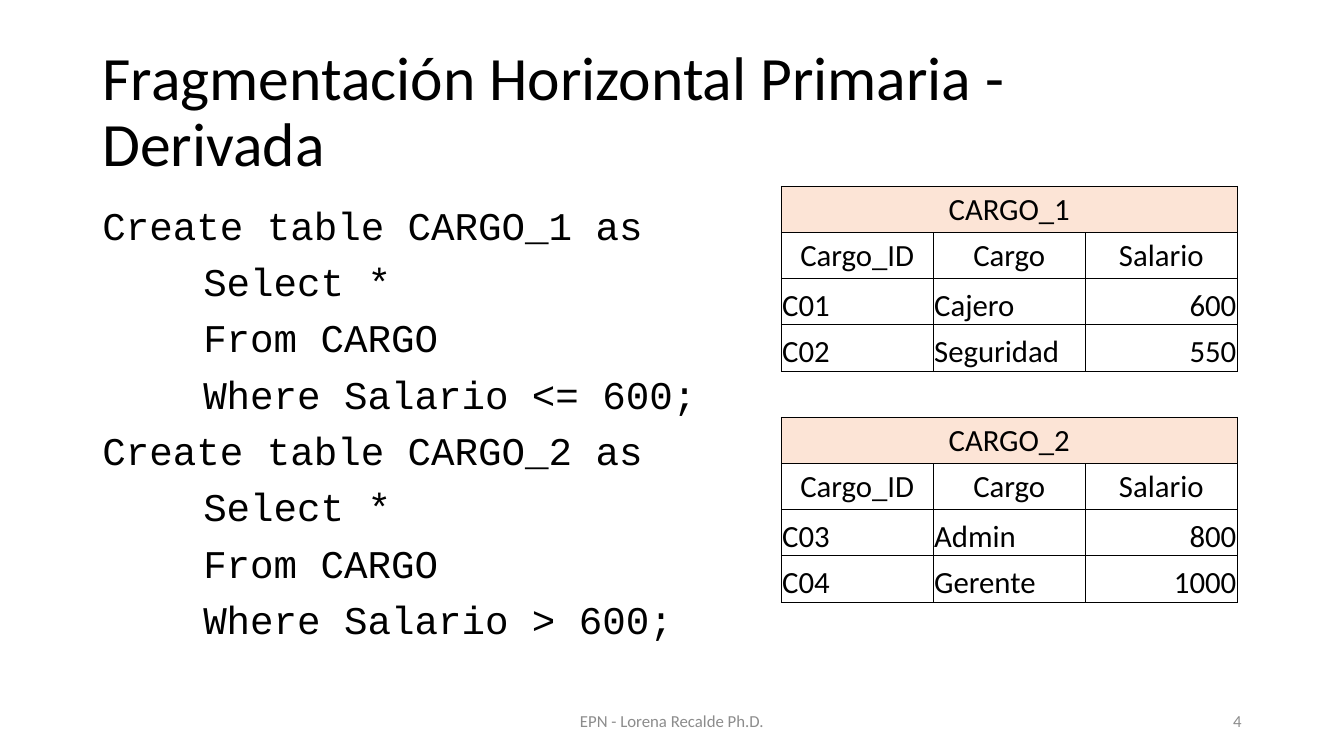
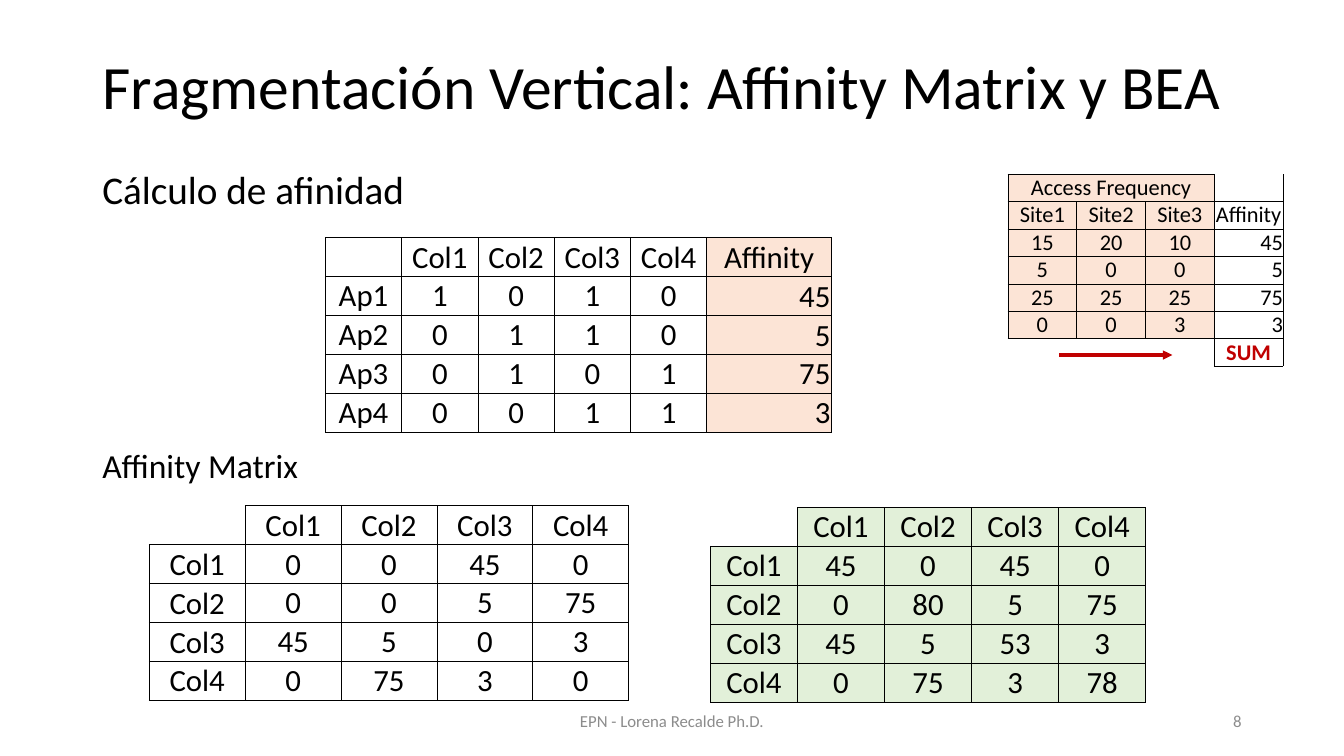
from dataclasses import dataclass
from typing import Any, Callable, Optional

from lxml import etree
from pptx import Presentation
from pptx.dml.color import RGBColor
from pptx.enum.shapes import MSO_CONNECTOR
from pptx.enum.text import MSO_ANCHOR, MSO_AUTO_SIZE, PP_ALIGN
from pptx.oxml.ns import qn
from pptx.util import Pt

LEFT, CENTER, RIGHT = PP_ALIGN.LEFT, PP_ALIGN.CENTER, PP_ALIGN.RIGHT
MIDDLE, BOTTOM, TOP = MSO_ANCHOR.MIDDLE, MSO_ANCHOR.BOTTOM, MSO_ANCHOR.TOP
NO_AUTOFIT = MSO_AUTO_SIZE.NONE
STRAIGHT = MSO_CONNECTOR.STRAIGHT
NO_TABLE_STYLE = "{2D5ABB26-0587-4C30-8999-92F81FD0307C}"
MERGED = "<merged>"
ALIGNMENTS = {"l": (LEFT, BOTTOM), "c": (CENTER, MIDDLE), "r": (RIGHT, BOTTOM), "b": (CENTER, BOTTOM)}
EDGES = {"lnL": (0, -1), "lnR": (0, 1), "lnT": (-1, 0), "lnB": (1, 0)}


@dataclass(frozen=True)
class Theme:
    font: str = "Calibri"
    code_font: str = "Courier New"
    ink: str = "000000"
    muted: str = "8C8C8C"
    accent: str = "C00000"
    peach: str = "FCE4D6"
    green: str = "E2F0D9"
    title: float = 44
    body: float = 28
    subtitle: float = 24
    cell: float = 22
    small_cell: float = 16
    footer: float = 12
    line_spacing: float = 0.9
    border: float = 0.5
    arrow: float = 2.25


THEME = Theme()


@dataclass(frozen=True)
class Area:
    left: float
    top: float
    width: float
    height: float


@dataclass(frozen=True)
class Label:
    text: str
    area: Area
    size: float
    color: str = THEME.ink
    align: Any = LEFT
    spacing: float = 1.0


@dataclass(frozen=True)
class Grid:
    left: float
    top: float
    widths: list[float]
    row_height: float
    rows: list[list[Optional[str]]]
    columns: str
    headers: tuple[int, ...] = (0,)
    tint: str = THEME.peach
    tinted: Callable[[int, int], bool] = lambda row, column: False
    size: float = THEME.cell
    inset: float = 0.72
    accent_row: Optional[int] = None


def assign(target: Any, values: dict[str, Any]) -> None:
    for name, value in values.items():
        setattr(target, name, value)


def style_font(font: Any, size: float, color: str = THEME.ink, name: str = THEME.font, bold: bool = False) -> None:
    assign(font, {"size": Pt(size), "name": name, "bold": bold})
    font.color.rgb = RGBColor.from_string(color)


def place(box: Any, area: Area, anchor: Any) -> None:
    assign(box, {name: Pt(getattr(area, name)) for name in ("left", "top", "width", "height")})
    assign(box.text_frame, {"word_wrap": True, "auto_size": NO_AUTOFIT, "vertical_anchor": anchor})


def write(para: Any, text: str, align: Any, spacing: float, **font: Any) -> None:
    assign(para, {"alignment": align, "line_spacing": spacing})
    span = para.add_run()
    span.text = text
    style_font(span.font, **font)


def draw_label(page: Any, label: Label) -> None:
    box = page.shapes.add_textbox(0, 0, 0, 0)
    place(box, label.area, MIDDLE)
    write(box.text_frame.paragraphs[0], label.text, label.align, label.spacing, size=label.size, color=label.color)


def add_page(deck: Any, layout: int, title: str, title_height: float, number: str) -> Any:
    page = deck.slides.add_slide(deck.slide_layouts[layout])
    box = page.shapes.title
    place(box, Area(66, 28.8, 828, title_height), MIDDLE)
    write(box.text_frame.paragraphs[0], title, LEFT, THEME.line_spacing, size=THEME.title)
    for text, left, width, align in (("EPN - Lorena Recalde Ph.D.", 318, 324, CENTER), (number, 678, 216, RIGHT)):
        draw_label(page, Label(text, Area(left, 500.5, width, 28.75), THEME.footer, THEME.muted, align))
    return page


def draw_code(page: Any, area: Area, lines: list[tuple[int, str]]) -> None:
    box = page.placeholders[1]
    place(box, area, TOP)
    frame = box.text_frame
    for index, (indent, text) in enumerate(lines):
        para = frame.add_paragraph() if index else frame.paragraphs[0]
        write(para, text, LEFT, THEME.line_spacing, size=THEME.body, name=THEME.code_font)
        para.space_before = Pt(10)
        properties = para._p.get_or_add_pPr()
        assign_xml = {"marL": str(Pt(72 * indent)), "indent": "0"}
        for name, value in assign_xml.items():
            properties.set(name, value)
        etree.SubElement(properties, qn("a:buNone"))


def draw_borders(cell: Any, edges: list[str]) -> None:
    properties = cell._tc.get_or_add_tcPr()
    for index, edge in enumerate(edges):
        line = etree.Element(qn(f"a:{edge}"), w=str(Pt(THEME.border)))
        fill = etree.SubElement(line, qn("a:solidFill"))
        etree.SubElement(fill, qn("a:srgbClr"), val=THEME.ink)
        properties.insert(index, line)


def bordered_edges(grid: Grid, row: int, column: int) -> list[str]:
    def closed(r: int, c: int) -> bool:
        inside = 0 <= r < len(grid.rows) and 0 <= c < len(grid.widths)
        return inside and grid.rows[r][c] is not None

    return [edge for edge, (down, across) in EDGES.items()
            if closed(row, column) or closed(row + down, column + across)]


def draw_cell(cell: Any, grid: Grid, row: int, column: int) -> None:
    text = grid.rows[row][column]
    align, anchor = ALIGNMENTS["c" if row in grid.headers else grid.columns[column]]
    inset = Pt(grid.inset)
    assign(cell, {"margin_left": inset, "margin_top": inset, "margin_right": inset,
                  "margin_bottom": 0, "vertical_anchor": anchor})
    if text is not None and grid.tinted(row, column):
        cell.fill.solid()
        cell.fill.fore_color.rgb = RGBColor.from_string(grid.tint)
    else:
        cell.fill.background()
    draw_borders(cell, bordered_edges(grid, row, column))
    para = cell.text_frame.paragraphs[0]
    if text and text != MERGED:
        accented = row == grid.accent_row
        write(para, text, align, 1.0, size=grid.size,
              color=THEME.accent if accented else THEME.ink, bold=accented)
    else:
        etree.SubElement(para._p, qn("a:endParaRPr"), sz=str(int(grid.size * 100)))


def draw_grid(page: Any, grid: Grid) -> None:
    count = len(grid.rows)
    table = page.shapes.add_table(count, len(grid.widths), Pt(grid.left), Pt(grid.top),
                                  Pt(sum(grid.widths)), Pt(grid.row_height * count)).table
    assign(table, {"first_row": False, "horz_banding": False})
    table._tbl.tblPr.find(qn("a:tableStyleId")).text = NO_TABLE_STYLE
    for column, width in zip(table.columns, grid.widths):
        column.width = Pt(width)
    for row, texts in enumerate(grid.rows):
        table.rows[row].height = Pt(grid.row_height)
        for column in range(len(texts)):
            draw_cell(table.cell(row, column), grid, row, column)
        if MERGED in texts:
            table.cell(row, 0).merge(table.cell(row, texts.count(MERGED)))


def draw_arrow(page: Any, left: float, right: float, height: float) -> None:
    arrow = page.shapes.add_connector(STRAIGHT, Pt(left), Pt(height), Pt(right), Pt(height))
    arrow.line.width = Pt(THEME.arrow)
    arrow.line.color.rgb = RGBColor.from_string(THEME.accent)
    etree.SubElement(arrow.line._get_or_add_ln(), qn("a:tailEnd"), type="triangle")
    etree.SubElement(arrow._element.spPr, qn("a:effectLst"))


def query(name: str, condition: str) -> list[tuple[int, str]]:
    return [(0, f"Create table {name} as"), (1, "Select *"), (1, "From CARGO"), (1, f"Where Salario {condition};")]


def fragment(name: str, *records: list[str]) -> list[list[Optional[str]]]:
    return [[name, MERGED, MERGED], ["Cargo_ID", "Cargo", "Salario"], *records]


def labelled(corner: Optional[str], names: list[str], values: list[str]) -> list[list[Optional[str]]]:
    return [[corner, *COLUMN_NAMES], *([name, *line.split()] for name, line in zip(names, values))]


COLUMN_NAMES = [f"Col{index}" for index in range(1, 5)]
APPLICATIONS = [f"Ap{index}" for index in range(1, 5)]


def build_horizontal(deck: Any) -> None:
    page = add_page(deck, 1, "Fragmentación Horizontal Primaria - Derivada", 104.4, "4")
    draw_code(page, Area(66, 143.75, 828, 342.6), query("CARGO_1", "<= 600") + query("CARGO_2", "> 600"))
    rows = [
        *fragment("CARGO_1", ["C01", "Cajero", "600"], ["C02", "Seguridad", "550"]),
        [None] * 3,
        *fragment("CARGO_2", ["C03", "Admin", "800"], ["C04", "Gerente", "1000"]),
    ]
    draw_grid(page, Grid(558, 133, [108.6] * 3, 33, rows, "llr", (0, 1, 5, 6),
                         tinted=lambda row, column: row in (0, 5)))


def build_vertical(deck: Any) -> None:
    page = add_page(deck, 5, "Fragmentación Vertical: Affinity Matrix y BEA", 70.5, "8")
    for label in (
        Label("Cálculo de afinidad", Area(66, 118, 238.5, 38), THEME.body, spacing=THEME.line_spacing),
        Label("Affinity Matrix", Area(66, 309.5, 479, 49.5), THEME.subtitle, spacing=THEME.line_spacing),
    ):
        draw_label(page, label)
    usage = labelled("", APPLICATIONS, ["1 0 1 0 45", "0 1 1 0 5", "0 1 0 1 75", "0 0 1 1 3"])
    usage[0].append("Affinity")
    frequency = [
        ["Access Frequency", MERGED, MERGED, None],
        ["Site1", "Site2", "Site3", "Affinity"],
        *(line.split() for line in ("15 20 10 45", "5 0 0 5", "25 25 25 75", "0 0 3 3")),
        [None, None, None, "SUM"],
    ]
    partial = labelled(None, COLUMN_NAMES, ["0 0 45 0", "0 0 5 75", "45 5 0 3", "0 75 3 0"])
    complete = labelled(None, COLUMN_NAMES, ["45 0 45 0", "0 80 5 75", "45 5 53 3", "0 75 3 78"])
    frequency[-1] = [None, None, None, "SUM"]
    for grid in (
        Grid(232.4, 169.7, [54.5] * 5 + [89], 27.8, usage, "cccccr",
             tinted=lambda row, column: column == 5),
        Grid(720, 124.4, [49.1] * 4, 19.5, frequency, "cccr", (0, 1, 6),
             tinted=lambda row, column: column < 3, size=THEME.small_cell, inset=0, accent_row=6),
        Grid(106.6, 361.2, [68.5] * 5, 27.8, partial, "bcccc"),
        Grid(507.4, 362.4, [62.2] * 5, 27.8, complete, "bcccc",
             tint=THEME.green, tinted=lambda row, column: True),
    ):
        draw_grid(page, grid)
    draw_arrow(page, 756.7, 837.4, 253.6)


def unbordered(grid: Grid, row: int, column: int) -> bool:
    return row == grid.accent_row


def main() -> None:
    deck = Presentation()
    assign(deck, {"slide_width": Pt(960), "slide_height": Pt(540)})
    build_horizontal(deck)
    build_vertical(deck)
    deck.save("out.pptx")


main()
